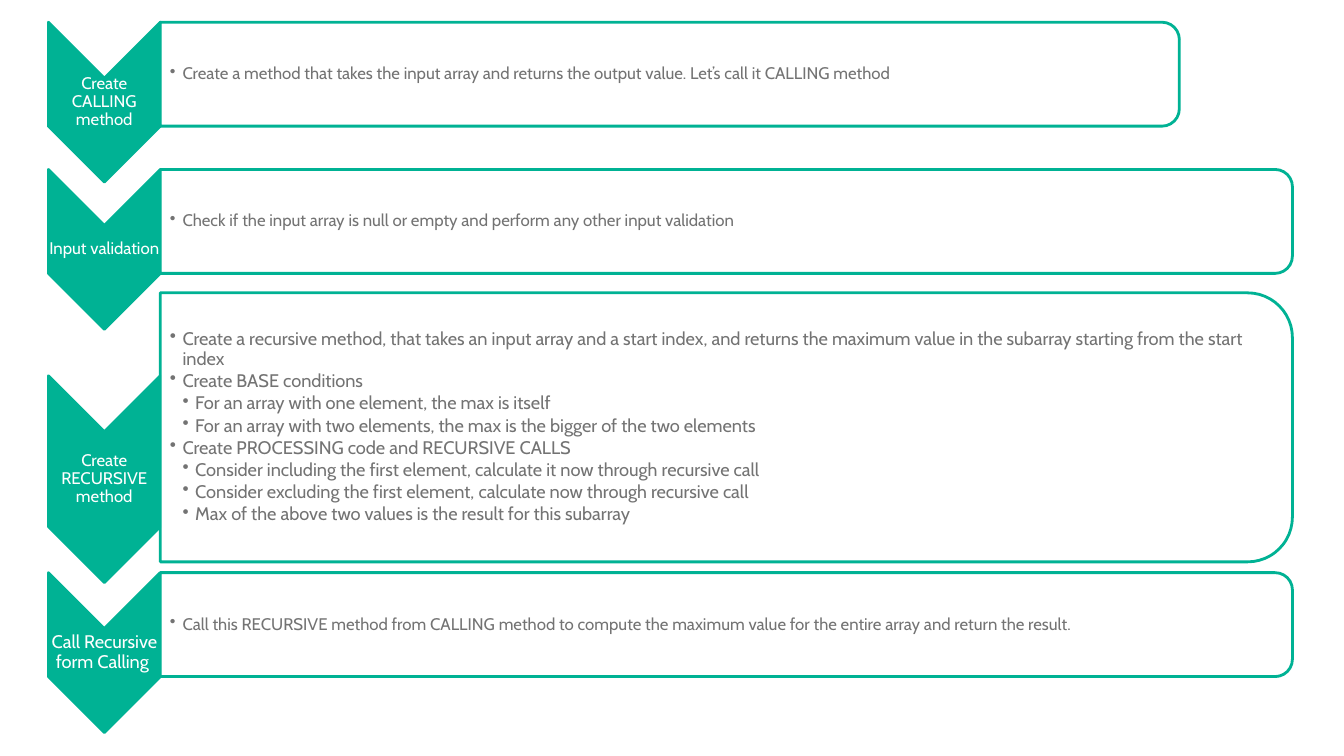
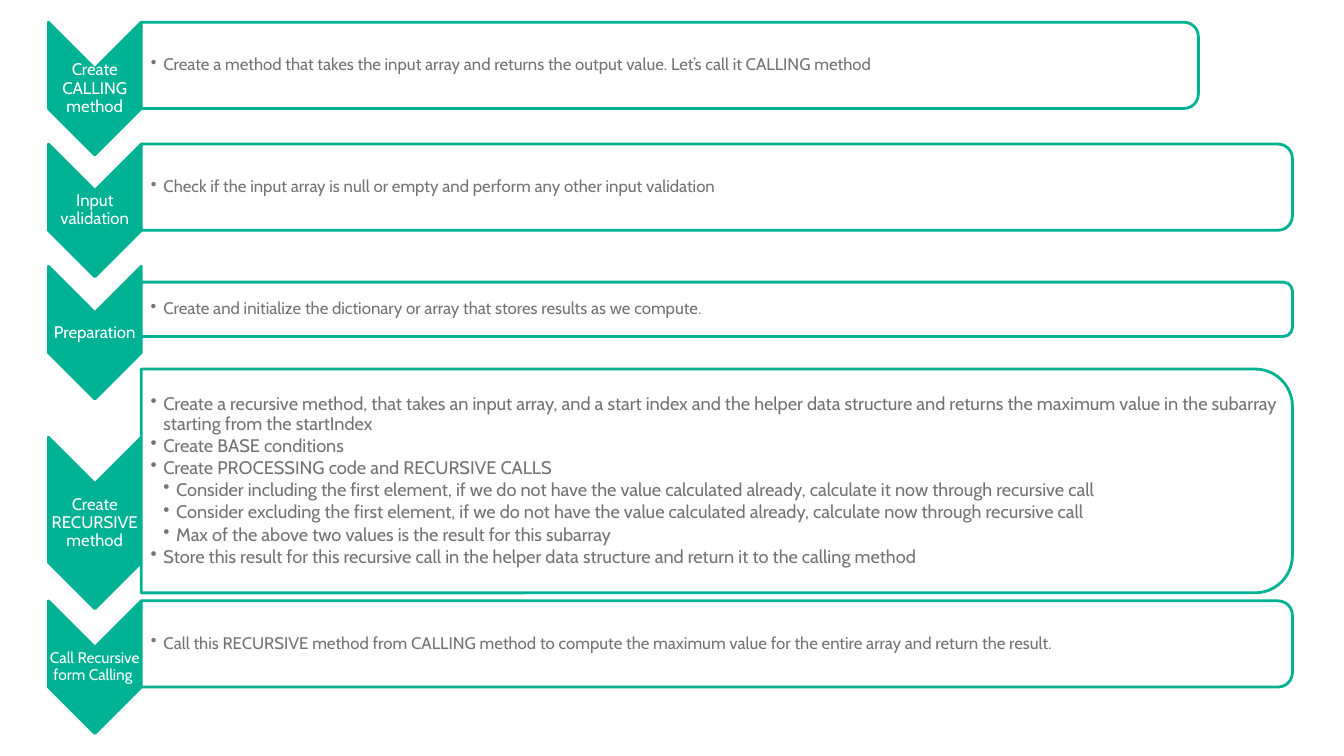
from dataclasses import dataclass

from lxml.etree import SubElement
from pptx import Presentation
from pptx.dml.color import RGBColor
from pptx.enum.shapes import MSO_SHAPE
from pptx.enum.text import MSO_ANCHOR, PP_ALIGN
from pptx.oxml.ns import qn
from pptx.util import Cm, Pt

GREEN = RGBColor(0x00, 0xB2, 0x94)
WHITE = RGBColor(0xFF, 0xFF, 0xFF)
GRAY = RGBColor(0x73, 0x73, 0x73)
FONT = "Cabin"

CHEVRON_LEFT = 1.22
PANEL_RIGHT = 32.57
HANGING = 0.32
CORNER_INSET = 0.05  # share of the panel height taken up by its round corners


@dataclass
class Step:
    """One row; lengths in cm, and zero means the usual size for the slide."""
    label: str
    bullets: list  # (level, text)
    chevron_top: float
    chevron_height: float = 0
    panel_top: float = 0
    panel_height: float = 0
    panel_right: float = PANEL_RIGHT
    label_size: int = 12
    text_size: int = 12


CALLING_BULLETS = [
    (0, "Create a method that takes the input array and returns the output value. "
        "Let’s call it CALLING method"),
]
VALIDATION_BULLETS = [
    (0, "Check if the input array is null or empty and perform any other input validation"),
]
FINAL_BULLETS = [
    (0, "Call this RECURSIVE method from CALLING method to compute the maximum value "
        "for the entire array and return the result."),
]
PLAIN_BULLETS = [
    (0, "Create a recursive method, that takes an input array and a start index, and returns "
        "the maximum value in the subarray starting from the start index"),
    (0, "Create BASE conditions"),
    (1, "For an array with one element, the max is itself"),
    (1, "For an array with two elements, the max is the bigger of the two elements"),
    (0, "Create PROCESSING code and RECURSIVE CALLS"),
    (1, "Consider including the first element, calculate it now through recursive call"),
    (1, "Consider excluding the first element, calculate now through recursive call"),
    (1, "Max of the above two values is the result for this subarray"),
]
STORED_BULLETS = [
    (0, "Create a recursive method, that takes an input array, and a start index and the helper "
        "data structure and returns the maximum value in the subarray starting from the startIndex"),
    (0, "Create BASE conditions"),
    (0, "Create PROCESSING code and RECURSIVE CALLS"),
    (1, "Consider including the first element, if we do not have the value calculated already, "
        "calculate it now through recursive call"),
    (1, "Consider excluding the first element, if we do not have the value calculated already, "
        "calculate now through recursive call"),
    (1, "Max of the above two values is the result for this subarray"),
    (0, "Store this result for this recursive call in the helper data structure "
        "and return it to the calling method"),
]

# Chevron width of each slide with its steps
SLIDES = [
    (2.82, [
        Step("Create CALLING method", CALLING_BULLETS, 0.56, panel_right=29.72),
        Step("Input validation", VALIDATION_BULLETS, 4.27),
        Step("Create RECURSIVE method", PLAIN_BULLETS, 9.47, chevron_height=5.21,
             panel_top=7.38, panel_height=6.78, text_size=13),
        Step("Call Recursive form Calling ", FINAL_BULLETS, 14.43, label_size=13),
    ]),
    (2.34, [
        Step("Create CALLING method", CALLING_BULLETS, 0.56, panel_right=30.2),
        Step("Input validation", VALIDATION_BULLETS, 3.63),
        Step("Preparation",
             [(0, "Create and initialize the dictionary or array that stores results as we compute.")],
             6.71, panel_top=7.11, panel_height=1.37),
        Step("Create RECURSIVE method", STORED_BULLETS, 11.02, chevron_height=4.32,
             panel_top=9.3, panel_height=5.64, text_size=13),
        Step("Call Recursive form Calling ", FINAL_BULLETS, 15.14, label_size=11),
    ]),
]


def add_turned_shape(slide, preset, left, top, width, height, color):
    """Add a shape turned by 90 degrees that covers the given area once turned."""
    shape = slide.shapes.add_shape(
        preset, Cm(left + (width - height) / 2), Cm(top + (height - width) / 2),
        Cm(height), Cm(width))
    shape.rotation = 90
    shape.shadow.inherit = False
    shape.fill.solid()
    shape.fill.fore_color.rgb = color
    shape.line.color.rgb = GREEN
    shape.line.width = Pt(2)
    return shape


def add_text(slide, left, top, width, height, items, size, color, bulleted):
    box = slide.shapes.add_textbox(Cm(left), Cm(top), Cm(width), Cm(height))
    frame = box.text_frame
    frame.word_wrap = True
    frame.vertical_anchor = MSO_ANCHOR.MIDDLE
    frame.margin_left = Cm(0.24 if bulleted else 0.02)
    frame.margin_top = frame.margin_right = frame.margin_bottom = Cm(0.02)
    for index, (level, text) in enumerate(items):
        paragraph = frame.add_paragraph() if index else frame.paragraphs[0]
        paragraph.level = level
        paragraph.line_spacing = 0.9
        if bulleted:
            paragraph.space_after = Pt(1.8)
            properties = paragraph._p.get_or_add_pPr()
            properties.set("marL", str(Cm(HANGING * (level + 1))))
            properties.set("indent", str(-Cm(HANGING)))
            SubElement(properties, qn("a:buChar")).set("char", "•")
        else:
            paragraph.alignment = PP_ALIGN.CENTER
        run = paragraph.add_run()
        run.text = text
        run.font.name = FONT
        run.font.size = Pt(size)
        run.font.color.rgb = color


presentation = Presentation()
presentation.slide_width = Cm(33.87)
presentation.slide_height = Cm(19.05)

for chevron_width, steps in SLIDES:
    slide = presentation.slides.add_slide(presentation.slide_layouts[6])
    usual_height = chevron_width * 10 / 7
    notch = chevron_width / 2
    panel_left = CHEVRON_LEFT + chevron_width
    for step in steps:
        chevron_height = step.chevron_height or usual_height
        add_turned_shape(slide, MSO_SHAPE.CHEVRON, CHEVRON_LEFT, step.chevron_top,
                         chevron_width, chevron_height, GREEN)
        add_text(slide, CHEVRON_LEFT, step.chevron_top + notch, chevron_width,
                 chevron_height - chevron_width, [(0, step.label)],
                 step.label_size, WHITE, bulleted=False)

        panel_top = step.panel_top or step.chevron_top
        panel_height = step.panel_height or usual_height - notch
        panel_width = step.panel_right - panel_left
        panel = add_turned_shape(slide, MSO_SHAPE.ROUND_2_SAME_RECTANGLE, panel_left, panel_top,
                                 panel_width, panel_height, WHITE)
        fill_color = panel._element.spPr.find(qn("a:solidFill"))[0]
        SubElement(fill_color, qn("a:alpha")).set("val", "90000")
        inset = panel_height * CORNER_INSET
        add_text(slide, panel_left, panel_top + inset, panel_width - inset,
                 panel_height - 2 * inset, step.bullets, step.text_size, GRAY, bulleted=True)

presentation.save("out.pptx")
